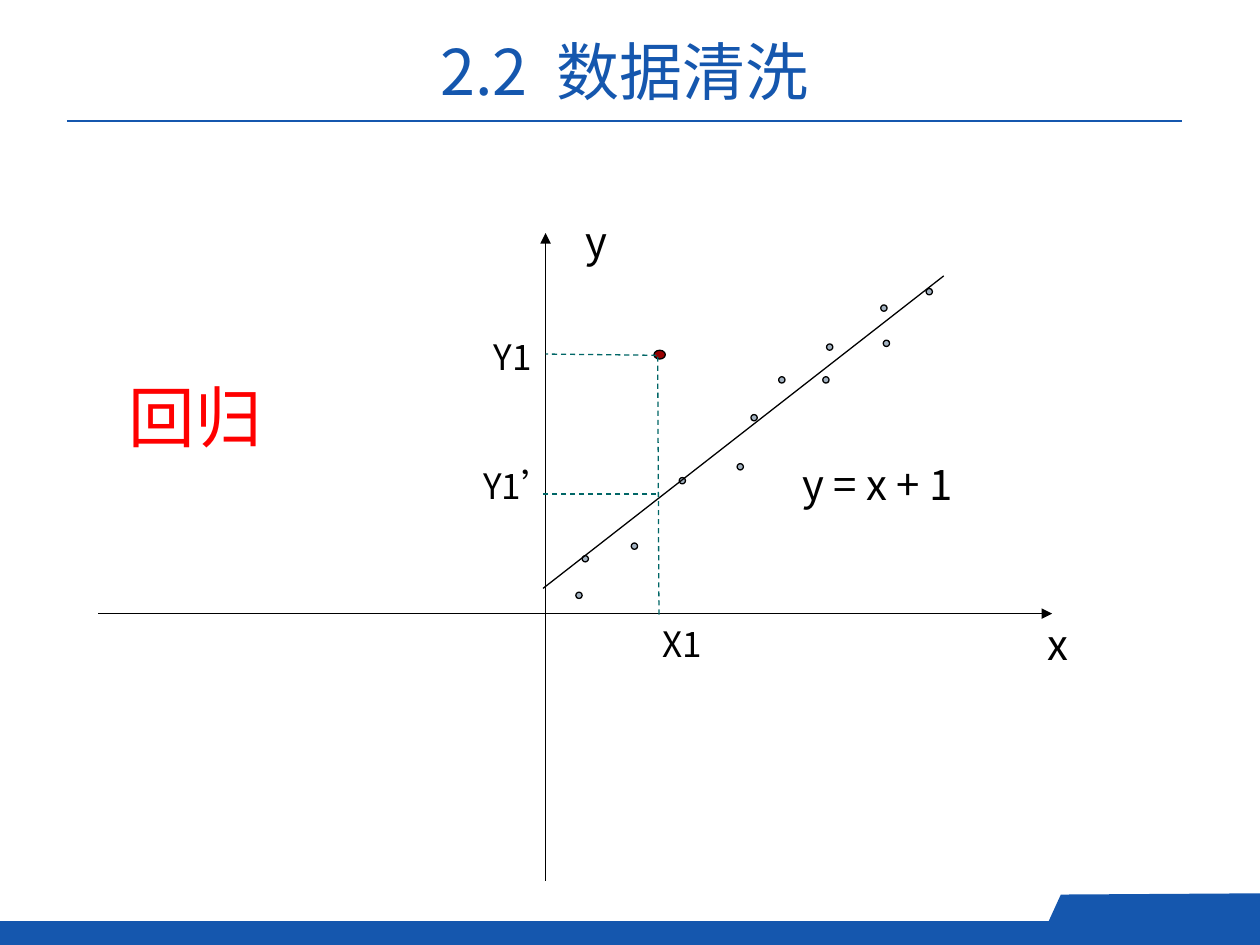
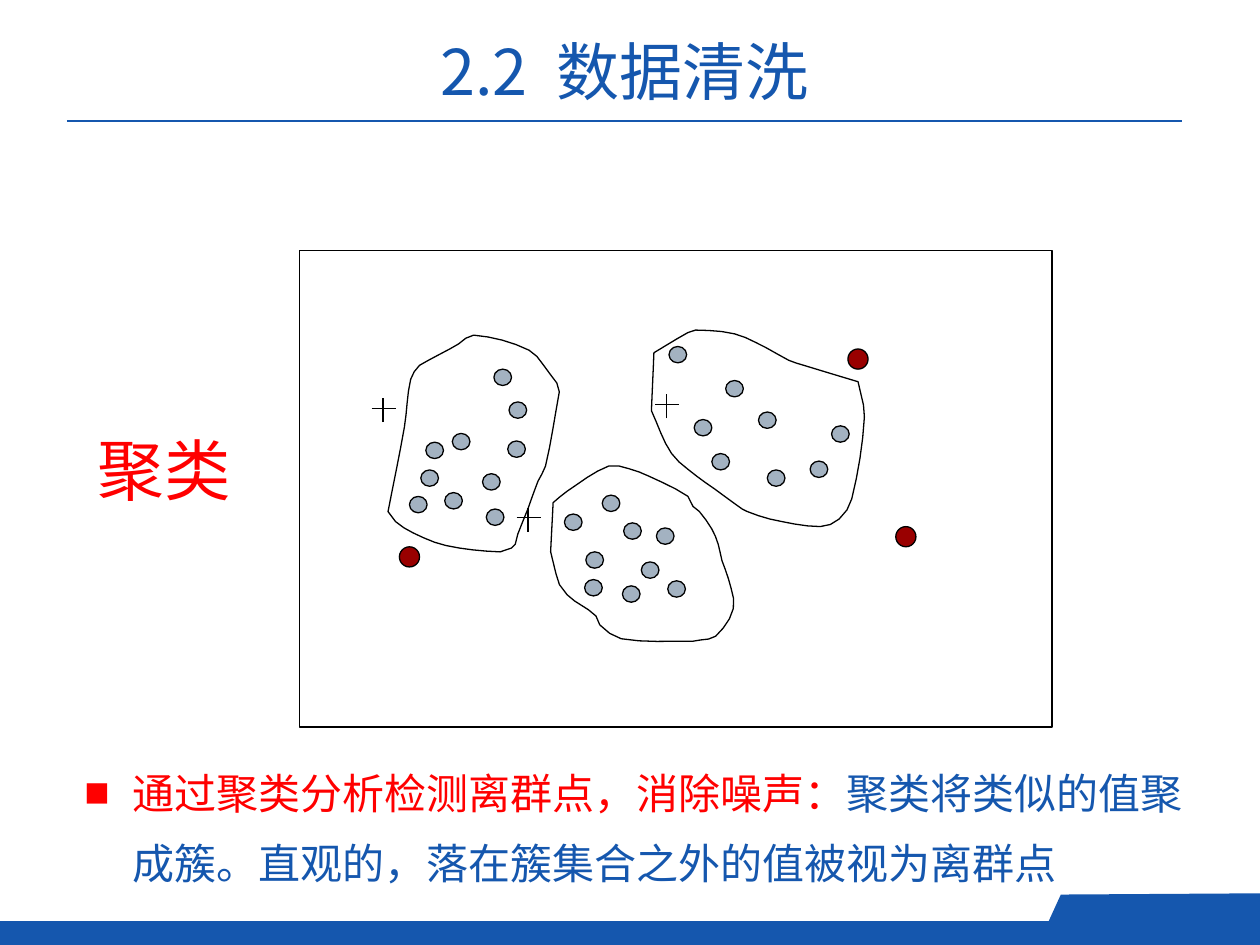
from dataclasses import dataclass
from math import dist

from lxml import etree
from pptx import Presentation
from pptx.dml.color import RGBColor
from pptx.enum.dml import MSO_LINE
from pptx.enum.shapes import MSO_CONNECTOR, MSO_SHAPE
from pptx.enum.text import MSO_ANCHOR, MSO_AUTO_SIZE, PP_ALIGN
from pptx.oxml.ns import qn
from pptx.util import Inches, Pt

STRAIGHT = MSO_CONNECTOR.STRAIGHT
OVAL, RECT = MSO_SHAPE.OVAL, MSO_SHAPE.RECTANGLE
DOT, STRIP = MSO_SHAPE.FLOWCHART_CONNECTOR, MSO_SHAPE.FLOWCHART_PROCESS
LEFT, CENTER = PP_ALIGN.LEFT, PP_ALIGN.CENTER
BOTTOM, TOP = MSO_ANCHOR.BOTTOM, MSO_ANCHOR.TOP
NO_FIT, GROW = MSO_AUTO_SIZE.NONE, MSO_AUTO_SIZE.SHAPE_TO_FIT_TEXT
DASH = MSO_LINE.DASH


@dataclass(frozen=True)
class Theme:
    font: str = "Noto Sans CJK SC"
    blue: str = "1557AE"
    red: str = "FF0000"
    black: str = "000000"
    point: str = "A3B2C1"
    outlier: str = "990000"
    guide: str = "006666"
    head: int = 36
    topic: int = 38
    text: int = 24
    label: int = 20
    thin: float = 0.75
    rule: float = 1.5


T = Theme()

# Shared parts
HEAD = ["2.2", " ", "数据清洗"]
HEAD_BOX = (0.58, 0.21, 8.75, 0.7)
HEAD_GAP = 800  # extra width of the space, in 1/100 pt
RULE = [(0.53, 0.96), (9.38, 0.96)]
RULE_FOOT = (0.53, 1.08)
BAND = (0, 7.31, 10, 0.19)
TAB = [(10, 7.45), (10, 7.09), (8.42, 7.1), (8.26, 7.45)]

# Regression
REG_TITLE = ("回归", (0.78, 2.99, 1.54, 0.68))
AXES = [((0.78, 4.87), (8.35, 4.87)), ((4.33, 6.99), (4.33, 1.85))]
FIT = ((4.31, 4.67), (7.49, 2.19))
GUIDES = [
    ((5.22, 2.83), (5.23, 4.89)),
    ((5.21, 2.82), (4.33, 2.81)),
    ((5.21, 3.92), (4.31, 3.92)),
]
SAMPLES = [
    (5.85, 3.68), (5.39, 3.79), (5.01, 4.31), (5.96, 3.29), (6.18, 2.99),
    (4.62, 4.41), (6.53, 2.99), (6.56, 2.73), (7.01, 2.7), (4.57, 4.7),
    (6.99, 2.42), (7.35, 2.29),
]
ODD = (5.19, 2.78)
LABELS = [
    ("x", T.text, (8.19, 4.86, 0.42, 0.5)),
    ("y", T.text, (4.53, 1.66, 0.41, 0.5)),
    ("y = x + 1", T.text, (6.13, 3.59, 1.67, 0.5)),
    ("X1", T.label, (5.11, 4.89, 0.61, 0.44)),
    ("Y1", T.label, (3.77, 2.61, 0.6, 0.44)),
    ("Y1’", T.label, (3.68, 3.64, 0.89, 0.44)),
]

# Clustering
CLU_TITLE = ("聚类", (0.51, 3.11, 1.59, 0.98))
FRAME = (2.38, 1.99, 5.97, 3.78)
NOTE_BOX = (0.57, 5.88, 9, 1.25)
NOTE = [
    ("通过聚类分析检测离群点，消除噪声：", T.red),
    ("聚类将类似的值聚成簇。直观的，落在簇集合之外的值被视为离群点", T.blue),
]
OUTLIERS = [(7.11, 4.18), (3.17, 4.34), (6.73, 2.77)]
CROSSES = [(4.1, 4.03), (5.2, 3.13), (2.95, 3.16)]
SPAN, MID_X, MID_Y = 0.19, 0.09, 0.08
# A point listed twice in an edge is a sharp corner.
CLUSTERS = {
    "left": {
        "points": [
            (3.53, 3.91), (3.34, 3.73), (3.83, 3.76), (3.59, 3.44),
            (3.25, 3.94), (3.38, 3.51), (3.86, 4.04), (4.03, 3.5),
            (4.04, 3.19), (3.92, 2.93),
        ],
        "edge": [
            (4.27, 3.82), (4.19, 4.04), (4.11, 4.24), (4.09, 4.32),
            (4.06, 4.35), (3.97, 4.38), (3.54, 4.33), (3.28, 4.23),
            (3.14, 4.14), (3.08, 4.06), (3.08, 4.06), (3.21, 3.39),
            (3.26, 3.01), (3.33, 2.9), (3.4, 2.86), (3.57, 2.77),
            (3.64, 2.73), (3.76, 2.66), (4.2, 2.78), (4.36, 2.96),
            (4.42, 3.04), (4.44, 3.11), (4.44, 3.11), (4.33, 3.7),
        ],
    },
    "right": {
        "points": [
            (5.76, 3.02), (5.65, 3.6), (6.02, 3.27), (5.51, 3.33),
            (6.6, 3.38), (6.43, 3.66), (6.09, 3.73), (5.31, 2.75),
        ],
        "edge": [
            (6.81, 3.03), (6.81, 3.03), (6.86, 3.31), (6.76, 3.96),
            (6.66, 4.12), (6.51, 4.18), (6.11, 4.12), (5.93, 4.06),
            (5.89, 4.04), (5.67, 3.88), (5.53, 3.78), (5.33, 3.6),
            (5.17, 3.26), (5.17, 3.26), (5.19, 2.8), (5.19, 2.8),
            (5.46, 2.64), (5.52, 2.62), (5.83, 2.65), (6.08, 2.76),
            (6.26, 2.86), (6.38, 2.9),
        ],
    },
    "middle": {
        "points": [
            (4.48, 4.08), (5.21, 4.19), (4.94, 4.65), (5.09, 4.46),
            (4.65, 4.38), (4.64, 4.6), (4.78, 3.93), (4.95, 4.15),
            (5.3, 4.61),
        ],
        "edge": [
            (4.73, 4.89), (4.73, 4.89), (4.67, 4.84), (4.56, 4.77),
            (4.5, 4.72), (4.44, 4.64), (4.37, 4.38), (4.37, 4.38),
            (4.39, 3.99), (4.39, 3.99), (4.5, 3.9), (4.83, 3.7),
            (4.99, 3.72), (5.15, 3.78), (5.46, 3.94), (5.5, 4.02),
            (5.55, 4.06), (5.65, 4.2), (5.7, 4.32), (5.73, 4.45),
            (5.78, 4.59), (5.82, 4.83), (5.68, 5.05), (5.56, 5.08),
            (5.5, 5.09), (4.93, 5.07), (4.76, 4.96),
        ],
    },
}


def rgb(color):
    return RGBColor.from_string(color)


def sub(node, tag, **attrs):
    return etree.SubElement(node, qn(tag), attrs)


def inch(nums):
    return [Inches(n) for n in nums]


def paint(shape, fill=None, line=None, width=T.thin):
    shape.shadow.inherit = False
    if fill:
        shape.fill.solid()
        shape.fill.fore_color.rgb = rgb(fill)
    else:
        shape.fill.background()
    if line:
        shape.line.color.rgb = rgb(line)
        shape.line.width = Pt(width)
    else:
        shape.line.fill.background()


def draw(slide, kind, box, fill=None, line=None):
    paint(slide.shapes.add_shape(kind, *inch(box)), fill, line)


def spots(slide, kind, places, size, fill):
    for place in places:
        draw(slide, kind, place + size, fill, T.black)


def trace(slide, points, close=True):
    first, *rest = [inch(p) for p in points]
    maker = slide.shapes.build_freeform(*first, scale=1.0)
    return maker.add_line_segments(rest, close=close)


def wire(slide, ends, color=T.black, dash=None, arrow=False):
    start, end = ends
    link = slide.shapes.add_connector(STRAIGHT, *inch(start + end))
    link.line.color.rgb = rgb(color)
    link.line.width = Pt(T.thin)
    if dash:
        link.line.dash_style = dash
    if arrow:
        sub(link.line._get_or_add_ln(), "a:tailEnd", type="triangle")
    sub(link._element.spPr, "a:effectLst")


def style(run, size, color):
    run.font.size = Pt(size)
    run.font.color.rgb = rgb(color)
    run.font.name = T.font
    sub(run.font._element, "a:ea", typeface=T.font)


def write(shape, parts, size, anchor=TOP, align=CENTER, fit=NO_FIT):
    """Fill one paragraph with (text, colour) runs and return it."""
    frame = shape.text_frame
    frame.word_wrap = fit == NO_FIT
    frame.auto_size = fit
    frame.vertical_anchor = anchor
    para = frame.paragraphs[0]
    para.alignment = align
    for text, color in parts:
        run = para.add_run()
        run.text = text
        style(run, size, color)
    return para


def place(shape, box):
    shape.left, shape.top, shape.width, shape.height = inch(box)
    return shape


def smooth(points):
    """Round a closed outline, with more steps on its longer sides."""
    count = len(points)
    dirs = []
    for i in range(count):
        a, b = points[i - 1], points[(i + 1) % count]
        gap = dist(a, b)
        dirs.append([(q - p) / gap for p, q in zip(a, b)])
    out = []
    for i in range(count):
        j = (i + 1) % count
        a, b = points[i], points[j]
        if a == b:
            continue
        arm = dist(a, b) / 3
        steps = 1 + min(3, int(dist(a, b) / 0.12))
        for k in range(steps):
            t = k / steps
            u = 1 - t
            out.append([
                u**3 * p + 3 * u * u * t * (p + arm * d)
                + 3 * u * t * t * (q - arm * e) + t**3 * q
                for p, q, d, e in zip(a, b, dirs[i], dirs[j])
            ])
    return out


def start(deck, layout, title):
    """Add a slide with the shared header, footer band and topic title."""
    slide = deck.slides.add_slide(deck.slide_layouts[layout])
    rule = trace(slide, RULE, close=False).move_to(*inch(RULE_FOOT))
    paint(rule.convert_to_shape(), line=T.blue, width=T.rule)
    draw(slide, STRIP, BAND, T.blue)
    paint(trace(slide, TAB).convert_to_shape(), T.blue)
    box = slide.shapes.add_textbox(*inch(HEAD_BOX))
    para = write(box, [(part, T.blue) for part in HEAD], T.head, BOTTOM)
    para.runs[1].font._element.set("spc", str(HEAD_GAP))
    text, spot = title
    write(place(slide.shapes.title, spot), [(text, T.red)], T.topic, BOTTOM)
    return slide


def regress(deck):
    slide = start(deck, 5, REG_TITLE)
    for axis in AXES:
        wire(slide, axis, arrow=True)
    spots(slide, OVAL, SAMPLES, (0.05, 0.05), T.point)
    spots(slide, OVAL, [ODD], (0.09, 0.07), T.outlier)
    wire(slide, FIT)
    for guide in GUIDES:
        wire(slide, guide, T.guide, dash=DASH)
    for text, size, box in LABELS:
        label = slide.shapes.add_textbox(*inch(box))
        write(label, [(text, T.black)], size, fit=GROW)


def cluster(deck):
    slide = start(deck, 1, CLU_TITLE)
    body = place(slide.placeholders[1], NOTE_BOX)
    para = write(body, NOTE, T.text, align=LEFT)
    para.line_spacing = 1.4
    para.space_before = Pt(0)
    props = para._p.get_or_add_pPr()
    props.set("marL", str(Inches(0.38)))
    props.set("indent", str(-Inches(0.38)))
    sub(props, "a:buFont", typeface="Arial")
    sub(props, "a:buChar", char="■")
    draw(slide, RECT, FRAME, line=T.black)
    spots(slide, DOT, OUTLIERS, (0.16, 0.16), T.outlier)
    for x, y in CROSSES:
        wire(slide, ((x, y + MID_Y), (x + SPAN, y + MID_Y)))
        wire(slide, ((x + MID_X, y + SPAN), (x + MID_X, y)))
    for group in CLUSTERS.values():
        spots(slide, DOT, group["points"], (0.14, 0.13), T.point)
        edge = trace(slide, smooth(group["edge"]))
        paint(edge.convert_to_shape(), line=T.black)


def main():
    deck = Presentation()
    deck.slide_width, deck.slide_height = Inches(10), Inches(7.5)
    regress(deck)
    cluster(deck)
    deck.save("out.pptx")


if __name__ == "__main__":
    main()
